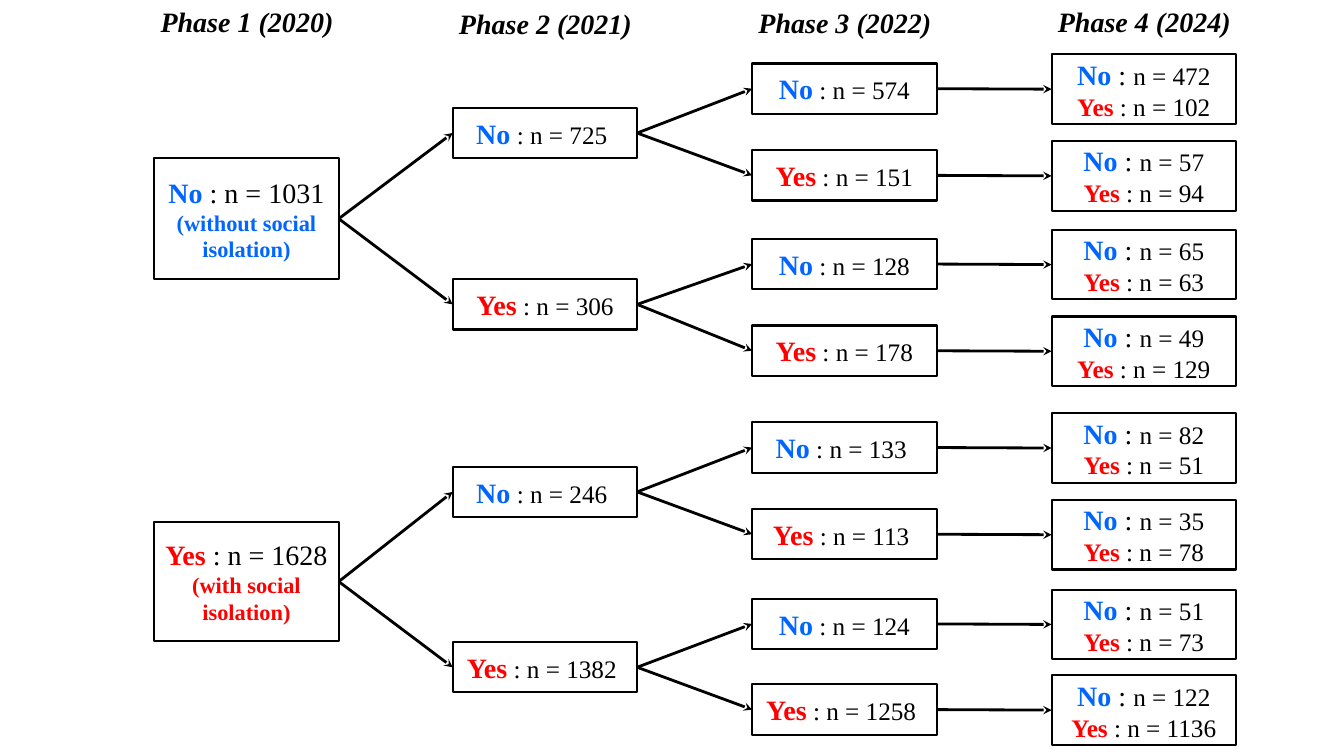
from dataclasses import dataclass

from lxml import etree
from pptx import Presentation
from pptx.dml.color import RGBColor
from pptx.enum.shapes import MSO_CONNECTOR, MSO_SHAPE
from pptx.enum.text import MSO_ANCHOR, MSO_AUTO_SIZE, PP_ALIGN
from pptx.oxml.ns import qn
from pptx.util import Pt

RECT = MSO_SHAPE.RECTANGLE
STRAIGHT = MSO_CONNECTOR.STRAIGHT
CENTER = PP_ALIGN.CENTER
MIDDLE = MSO_ANCHOR.MIDDLE
GROW = MSO_AUTO_SIZE.SHAPE_TO_FIT_TEXT
LEFT, RIGHT = 1, 3  # connection sites of a rectangle
PX = 9144  # 100 px to the inch


@dataclass(frozen=True)
class Theme:
    font: str = "Times New Roman"
    ink: RGBColor = RGBColor(0, 0, 0)
    paper: RGBColor = RGBColor(255, 255, 255)
    no: RGBColor = RGBColor(0, 0x66, 0xFF)
    yes: RGBColor = RGBColor(255, 0, 0)
    large: Pt = Pt(20)
    mid: Pt = Pt(18)
    small: Pt = Pt(16)
    edge: Pt = Pt(1.5)
    arrow: Pt = Pt(2)


THEME = Theme()
HUES = {"No": THEME.no, "Yes": THEME.yes}
ANSWERS = tuple(HUES)

COLS = [153 + 890 * i // 3 for i in range(4)]
BOX_W = 183
HEAD_W = 212

HEADS = [("Phase 1 (2020)", 0), ("Phase 2 (2021)", 2),
         ("Phase 3 (2022)", 1), ("Phase 4 (2024)", 0)]

# Middle height of each box, then its count or counts
ROOTS = [(217, 120, "1031", "(without social isolation)"),
         (577, 118, "1628", "(with social isolation)")]
SECOND = [(132, "725 "), (302, "306"), (488, "246 "), (662, "1382 ")]
THIRD = [(88, "574"), (174, "151"), (262, "128"), (348, "178"),
         (444, "133 "), (530, "113 "), (619, "124"), (704, "1258 ")]
FOURTH = [("472", "102"), ("57", "94"), ("65", "63"), ("49", "129"),
          ("82", "51"), ("35", "78"), ("51", "73"), ("122", "1136")]


def add_run(para, text, size, color, bold=False):
    run = para.add_run()
    run.text = text
    run.font.size = size
    run.font.bold = bold
    run.font.color.rgb = color


def add_box(slide, col, mid, high, lines):
    """Draw a box centred on mid; each line is a list of run arguments."""
    box = slide.shapes.add_shape(
        RECT, COLS[col] * PX, (mid - high // 2) * PX, BOX_W * PX, high * PX)
    box.shadow.inherit = False
    box.fill.solid()
    box.fill.fore_color.rgb = THEME.paper
    box.line.color.rgb = THEME.ink
    box.line.width = THEME.edge
    frame = box.text_frame
    frame.word_wrap = True
    frame.vertical_anchor = MIDDLE
    for i, runs in enumerate(lines):
        para = frame.add_paragraph() if i else frame.paragraphs[0]
        para.alignment = CENTER
        para.font.name = THEME.font
        for run in runs:
            add_run(para, *run)
    return box


def count_line(word, count, size, word_size=THEME.large, colon_size=None):
    """Give the runs of a line such as No : n = 574."""
    return [(word, word_size, HUES[word], True),
            (" : ", colon_size or size, THEME.ink),
            (f"n = {count}", size, THEME.ink)]


def add_arrow(slide, start, end):
    line = slide.shapes.add_connector(STRAIGHT, 0, 0, 0, 0)
    line.begin_connect(start, RIGHT)
    line.end_connect(end, LEFT)
    line.line.color.rgb = THEME.ink
    line.line.width = THEME.arrow
    props = line._element.spPr
    etree.SubElement(props.find(qn("a:ln")), qn("a:tailEnd"), type="stealth")
    etree.SubElement(props, qn("a:effectLst"))


def add_head(slide, col, text, top):
    left = COLS[col] - (HEAD_W - BOX_W) // 2
    label = slide.shapes.add_textbox(left * PX, top * PX, HEAD_W * PX, 44 * PX)
    frame = label.text_frame
    frame.word_wrap = True
    frame.auto_size = GROW
    para = frame.paragraphs[0]
    para.text = text
    para.alignment = CENTER
    font = para.font
    font.name = THEME.font
    font.size = THEME.large
    font.bold = font.italic = True
    font.color.rgb = THEME.ink


def add_roots(slide):
    return [add_box(slide, 0, mid, high,
                    [count_line(word, count, THEME.large),
                     [(note, THEME.small, HUES[word], True)]])
            for word, (mid, high, count, note) in zip(ANSWERS, ROOTS)]


def add_split(slide, col, nodes, parents):
    """Add a column in which each parent leads to a No and a Yes box."""
    boxes = []
    for i, (mid, count) in enumerate(nodes):
        line = count_line(ANSWERS[i % 2], count, THEME.mid)
        boxes.append(add_box(slide, col, mid, 50, [line]))
        add_arrow(slide, parents[i // 2], boxes[-1])
    return boxes


def add_leaves(slide, parents):
    for (mid, _), (no, yes), parent in zip(THIRD, FOURTH, parents):
        lines = [count_line("No", no, THEME.mid, colon_size=THEME.large),
                 count_line("Yes", yes, THEME.mid, word_size=THEME.mid)]
        add_arrow(slide, parent, add_box(slide, 3, mid, 69, lines))


def main():
    deck = Presentation()
    deck.slide_width = 1333 * PX
    deck.slide_height = 750 * PX
    slide = deck.slides.add_slide(deck.slide_layouts.get_by_name("Blank"))
    for col, (text, top) in enumerate(HEADS):
        add_head(slide, col, text, top)
    roots = add_roots(slide)
    second = add_split(slide, 1, SECOND, roots)
    third = add_split(slide, 2, THIRD, second)
    add_leaves(slide, third)
    deck.save("out.pptx")


if __name__ == "__main__":
    main()
